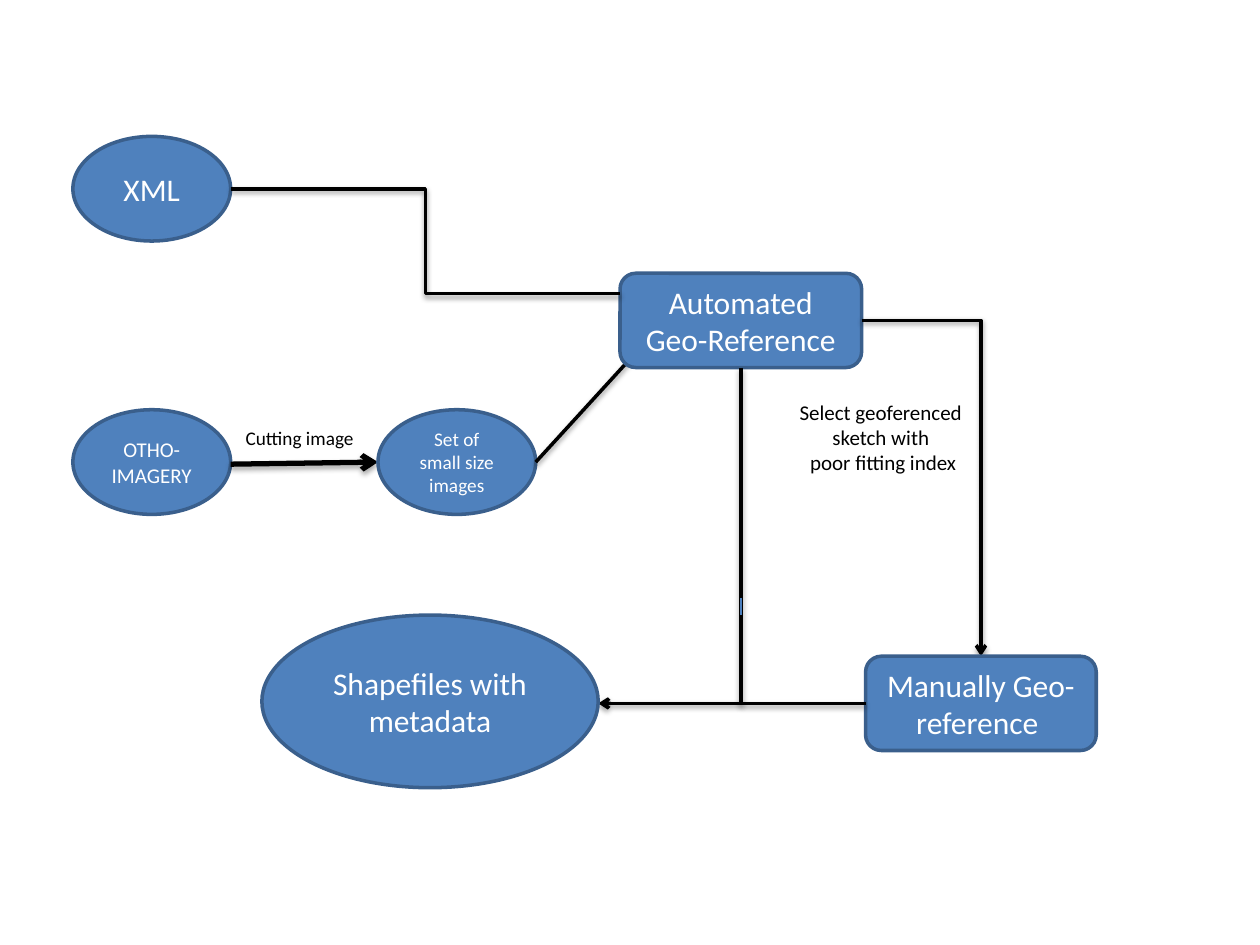
import pptx
import pptx.util
import pptx.dml.color
import pptx.enum.shapes
import pptx.enum.text
import pptx.oxml
import pptx.oxml.ns
from pptx.util import Cm

COLORS = {"fill": "4F81BD", "edge": "3A5F8C", "tick": "4B7EBC", "white": "FFFFFF", "black": "000000"}
FONT = "Calibri"
SMALL = (3.18, 2.11)

NODES = {
    "xml": ("OVAL", (1.47, 2.75, *SMALL), "XML", 18),
    "imagery": ("OVAL", (1.47, 8.26, *SMALL), "OTHO-IMAGERY", 12),
    "tiles": ("OVAL", (7.62, 8.26, *SMALL), "Set of small size images", 11),
    "auto": ("ROUNDED_RECTANGLE", (12.5, 5.51, 4.87, 1.9), "Automated Geo-Reference", 18),
    "manual": ("ROUNDED_RECTANGLE", (17.45, 13.23, 4.65, 1.9), "Manually Geo-reference ", 18),
    "shapefiles": ("OVAL", (5.28, 12.4, 6.78, 3.48), "Shapefiles with metadata", 18),
}
LABELS = {
    "cutting": ((4.7, 8.46, 2.72, 0.74), ["Cutting image"], 11, "LEFT"),
    "select": ((15.85, 7.92, 3.91, 1.8),
               ["Select geoferenced ", "sketch with ", "poor fitting index"], 12, "CENTER"),
}


def side(name, fx, fy):
    x, y, w, h = NODES[name][1]
    return x + w * fx, y + h * fy


junction = (side("auto", 0.5, 1)[0], side("manual", 0, 0.5)[1])
output = (side("shapefiles", 1, 0.5)[0], junction[1])
LINKS = {
    "cut": (side("imagery", 1, 0.52), side("tiles", 0, 0.5), {"width": 3, "arrow": True}),
    "tiles_auto": (side("tiles", 1, 0.5), (12.88, 7.04), {"arrow": True}),
    "auto_manual": (side("auto", 1, 0.5), side("manual", 0.5, 0),
                    {"arrow": True, "shape": "bentConnector2"}),
    "auto_down": (side("auto", 0.5, 1), junction, {}),
    "manual_left": (side("manual", 0, 0.5), junction, {}),
    "tick": ((junction[0], 12.06), (junction[0], 12.4),
             {"width": 0.75, "color": "tick", "shadow": False}),
    "to_output": (junction, output, {"arrow": True}),
    "xml_auto": (side("xml", 1, 0.5), (12.5, 5.92), {"shape": "bentConnector3"}),
}
STACK = ["xml", "imagery", "cut", "tiles", "tiles_auto", "auto", "cutting", "auto_manual", "manual",
         "select", "auto_down", "manual_left", "tick", "to_output", "shapefiles", "xml_auto"]

prs = pptx.Presentation()
prs.slide_width, prs.slide_height = Cm(25.4), Cm(19.05)
s = prs.slides.add_slide(prs.slide_layouts[6])


def rgb(name):
    return pptx.dml.color.RGBColor.from_string(COLORS[name])


def write(tf, lines, size=18, color="black", align="CENTER", wrap=True, anchor="TOP"):
    tf.word_wrap = wrap
    tf.vertical_anchor = getattr(pptx.enum.text.MSO_ANCHOR, anchor)
    for i, line in enumerate(lines):
        p = tf.paragraphs[0] if i == 0 else tf.add_paragraph()
        p.alignment = getattr(pptx.enum.text.PP_ALIGN, align)
        r = p.add_run()
        r.text = line
        r.font.name, r.font.size = FONT, pptx.util.Pt(size)
        r.font.color.rgb = rgb(color)


def add_node(kind, box, text, size):
    sp = s.shapes.add_shape(getattr(pptx.enum.shapes.MSO_SHAPE, kind), *map(Cm, box))
    sp.shadow.inherit = False
    sp.fill.solid()
    sp.fill.fore_color.rgb = rgb("fill")
    sp.line.color.rgb = rgb("edge")
    sp.line.width = pptx.util.Pt(2)
    write(sp.text_frame, [text], size=size, color="white", anchor="MIDDLE")


def add_label(box, lines, size, align):
    tf = s.shapes.add_textbox(*map(Cm, box)).text_frame
    write(tf, lines, size=size, align=align, wrap=False)
    tf.auto_size = pptx.enum.text.MSO_AUTO_SIZE.SHAPE_TO_FIT_TEXT


def add_link(start, end, width=2, color="black", arrow=False, shape="line", shadow=True):
    kind = pptx.enum.shapes.MSO_CONNECTOR.STRAIGHT if shape == "line" else pptx.enum.shapes.MSO_CONNECTOR.ELBOW
    cx = s.shapes.add_connector(kind, *map(Cm, start + end))
    cx.line.color.rgb = rgb(color)
    cx.line.width = pptx.util.Pt(width)
    sppr = cx.element.spPr
    sppr.find(pptx.oxml.ns.qn("a:prstGeom")).set("prst", shape)
    ns = pptx.oxml.ns.nsdecls("a")
    if arrow:
        cx.line._get_or_add_ln().append(pptx.oxml.parse_xml(f'<a:tailEnd {ns} type="arrow"/>'))
    effect = ""
    if shadow:
        blur, dist = pptx.util.Pt(3.1), pptx.util.Pt(1.8 if width == 3 else 1.6)
        alpha = 35000 if width == 3 else 38000
        effect = (f'<a:outerShdw blurRad="{blur}" dist="{dist}" dir="5400000" rotWithShape="0">'
                  f'<a:srgbClr val="{COLORS["black"]}"><a:alpha val="{alpha}"/></a:srgbClr></a:outerShdw>')
    sppr.append(pptx.oxml.parse_xml(f"<a:effectLst {ns}>{effect}</a:effectLst>"))


for name in STACK:
    if name in NODES:
        add_node(*NODES[name])
    elif name in LABELS:
        add_label(*LABELS[name])
    else:
        start, end, style = LINKS[name]
        add_link(start, end, **style)

prs.save("out.pptx")
